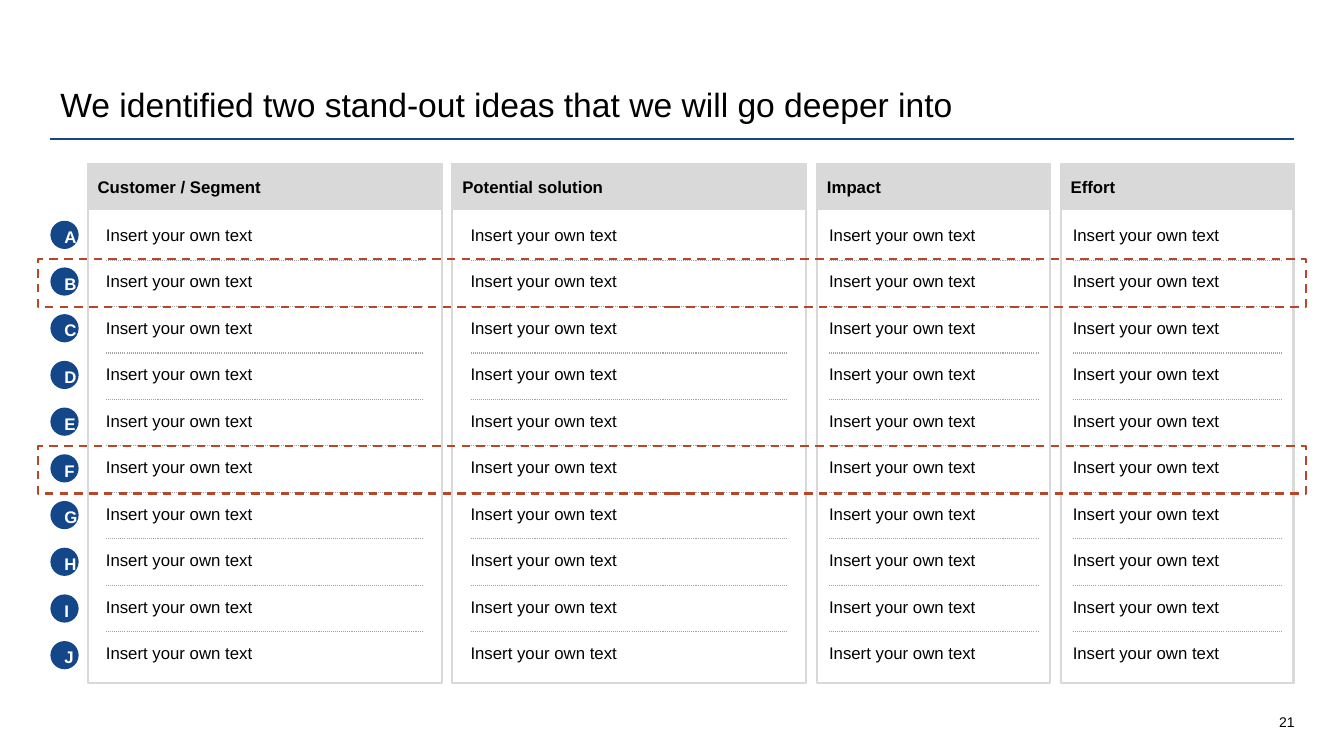
from lxml import etree
from pptx import Presentation
from pptx.dml.color import RGBColor
from pptx.enum.dml import MSO_LINE
from pptx.enum.shapes import MSO_CONNECTOR, MSO_SHAPE
from pptx.enum.text import MSO_ANCHOR, PP_ALIGN
from pptx.oxml.ns import qn
from pptx.util import Inches, Pt

TITLE = "We identified two stand-out ideas that we will go deeper into"
PAGE_NUMBER = "21"
COLUMNS = [
    ("Customer / Segment", 3.51, 0.18),
    ("Potential solution", 3.51, 0.18),
    ("Impact", 2.31, 0.12),
    ("Effort", 2.31, 0.12),
]
IDEAS = {letter: ["Insert your own text"] * len(COLUMNS) for letter in "ABCDEFGHIJ"}
STAND_OUT_IDEAS = ["B", "F"]

BLACK = RGBColor(0x00, 0x00, 0x00)
WHITE = RGBColor(0xFF, 0xFF, 0xFF)
BLUE = RGBColor(0x14, 0x47, 0x8A)
LIGHT_GREY = RGBColor(0xD9, 0xD9, 0xD9)
MID_GREY = RGBColor(0xA3, 0xA3, 0xA3)
RUST = RGBColor(0xB7, 0x47, 0x2A)

RECTANGLE, OVAL = MSO_SHAPE.RECTANGLE, MSO_SHAPE.OVAL
STRAIGHT = MSO_CONNECTOR.STRAIGHT
DASH, DOTS = MSO_LINE.DASH, MSO_LINE.ROUND_DOT
TOP, MIDDLE, BOTTOM = MSO_ANCHOR.TOP, MSO_ANCHOR.MIDDLE, MSO_ANCHOR.BOTTOM
LEFT, CENTER, RIGHT = PP_ALIGN.LEFT, PP_ALIGN.CENTER, PP_ALIGN.RIGHT

NO_INSETS = (0, 0)
DEFAULT_INSETS = (0.1, 0.05)
BADGE_INSETS = (0.1, 0.12)

TITLE_FONT = {"size": Pt(24)}
PAGE_FONT = {"size": Pt(10)}
BODY_FONT = {"size": Pt(12)}
HEADER_FONT = {"size": Pt(12), "bold": True}

MARGIN_LEFT, MARGIN_RIGHT = 0.5, 12.83
TABLE_LEFT, TABLE_TOP, TABLE_HEIGHT = 0.87, 1.63, 5.15
HEADER_HEIGHT = 0.44
CELL_TOP, LAST_CELL_TOP, CELL_HEIGHT = 2.23, 6.38, 0.24
RULE_OFFSET = 0.35
BADGE_TOP, LAST_BADGE_TOP, BADGE_SIZE = 2.19, 6.36, 0.28
FRAME_LEFT, FRAME_WIDTH, FRAME_HEIGHT, FRAME_OFFSET = 0.38, 12.57, 0.47, -0.08

row_gaps = len(IDEAS) - 1
cell_step = (LAST_CELL_TOP - CELL_TOP) / row_gaps
badge_step = (LAST_BADGE_TOP - BADGE_TOP) / row_gaps
column_gap = (MARGIN_RIGHT - TABLE_LEFT - sum(width for _, width, _ in COLUMNS)) / (len(COLUMNS) - 1)

prs = Presentation()
prs.slide_width, prs.slide_height = Inches(13.33), Inches(7.5)
slide = prs.slides.add_slide(prs.slide_layouts[6])


def write(shape, text, font, color=BLACK, align=LEFT, anchor=TOP, insets=NO_INSETS, paragraph_format=None):
    side, end = map(Inches, insets)
    frame = shape.text_frame
    frame_format = {
        "word_wrap": True, "vertical_anchor": anchor,
        "margin_left": side, "margin_right": side, "margin_top": end, "margin_bottom": end,
    }
    paragraph = frame.paragraphs[0]
    run = paragraph.add_run()
    run.text = text
    run.font.color.rgb = color
    for target, values in (
        (frame, frame_format),
        (paragraph, {"alignment": align, **(paragraph_format or {})}),
        (run.font, {"name": "Arial", **font}),
    ):
        for name, value in values.items():
            setattr(target, name, value)


def add_text(box, text, font, **options):
    write(slide.shapes.add_textbox(*map(Inches, box)), text, font, **options)


def style_line(line, color, width, dash=None):
    line.color.rgb = color
    line.width = Pt(width)
    if dash is not None:
        line.dash_style = dash


def add_block(kind, box, fill=None, outline=None):
    block = slide.shapes.add_shape(kind, *map(Inches, box))
    block.shadow.inherit = False
    if fill is None:
        block.fill.background()
    else:
        block.fill.solid()
        block.fill.fore_color.rgb = fill
    if outline is None:
        block.line.fill.background()
    else:
        style_line(block.line, *outline)
    return block


def add_rule(left, right, y, *outline):
    rule = slide.shapes.add_connector(STRAIGHT, *map(Inches, (left, y, right, y)))
    style_line(rule.line, *outline)
    etree.SubElement(rule._element.spPr, qn("a:effectLst"))


add_rule(MARGIN_LEFT, MARGIN_RIGHT, 1.38, BLUE, 1.5)
add_text((12.2, 6.92, 0.64, 0.33), PAGE_NUMBER, PAGE_FONT, align=RIGHT, anchor=BOTTOM)
add_text((MARGIN_LEFT, 0.4, 12.33, 0.89), TITLE, TITLE_FONT, anchor=BOTTOM,
         insets=DEFAULT_INSETS, paragraph_format={"line_spacing": 0.9})

column_left = TABLE_LEFT
for column, (heading, width, padding) in enumerate(COLUMNS):
    border = (LIGHT_GREY, 1.5)
    add_block(RECTANGLE, (column_left, TABLE_TOP, width, TABLE_HEIGHT), WHITE, border)
    header = add_block(RECTANGLE, (column_left, TABLE_TOP, width, HEADER_HEIGHT), LIGHT_GREY, border)
    write(header, heading, HEADER_FONT, anchor=MIDDLE, insets=DEFAULT_INSETS)

    cell_left, cell_width = column_left + padding, width - 2 * padding
    for row, cells in enumerate(IDEAS.values()):
        cell_top = CELL_TOP + row * cell_step
        add_text((cell_left, cell_top, cell_width, CELL_HEIGHT), cells[column], BODY_FONT,
                 paragraph_format={"space_after": Pt(2)})
        if row < row_gaps:
            add_rule(cell_left, cell_left + cell_width, cell_top + RULE_OFFSET, MID_GREY, 0.75, DOTS)
    column_left += width + column_gap

badge_tops = {letter: BADGE_TOP + row * badge_step for row, letter in enumerate(IDEAS)}
for letter in STAND_OUT_IDEAS:
    add_block(RECTANGLE, (FRAME_LEFT, badge_tops[letter] + FRAME_OFFSET, FRAME_WIDTH, FRAME_HEIGHT),
              outline=(RUST, 1.5, DASH))
for letter, badge_top in badge_tops.items():
    badge = add_block(OVAL, (MARGIN_LEFT, badge_top, BADGE_SIZE, BADGE_SIZE), BLUE)
    write(badge, letter, HEADER_FONT, color=WHITE, align=CENTER, anchor=MIDDLE,
          insets=BADGE_INSETS, paragraph_format={"line_spacing": 1.2})

prs.save("out.pptx")
